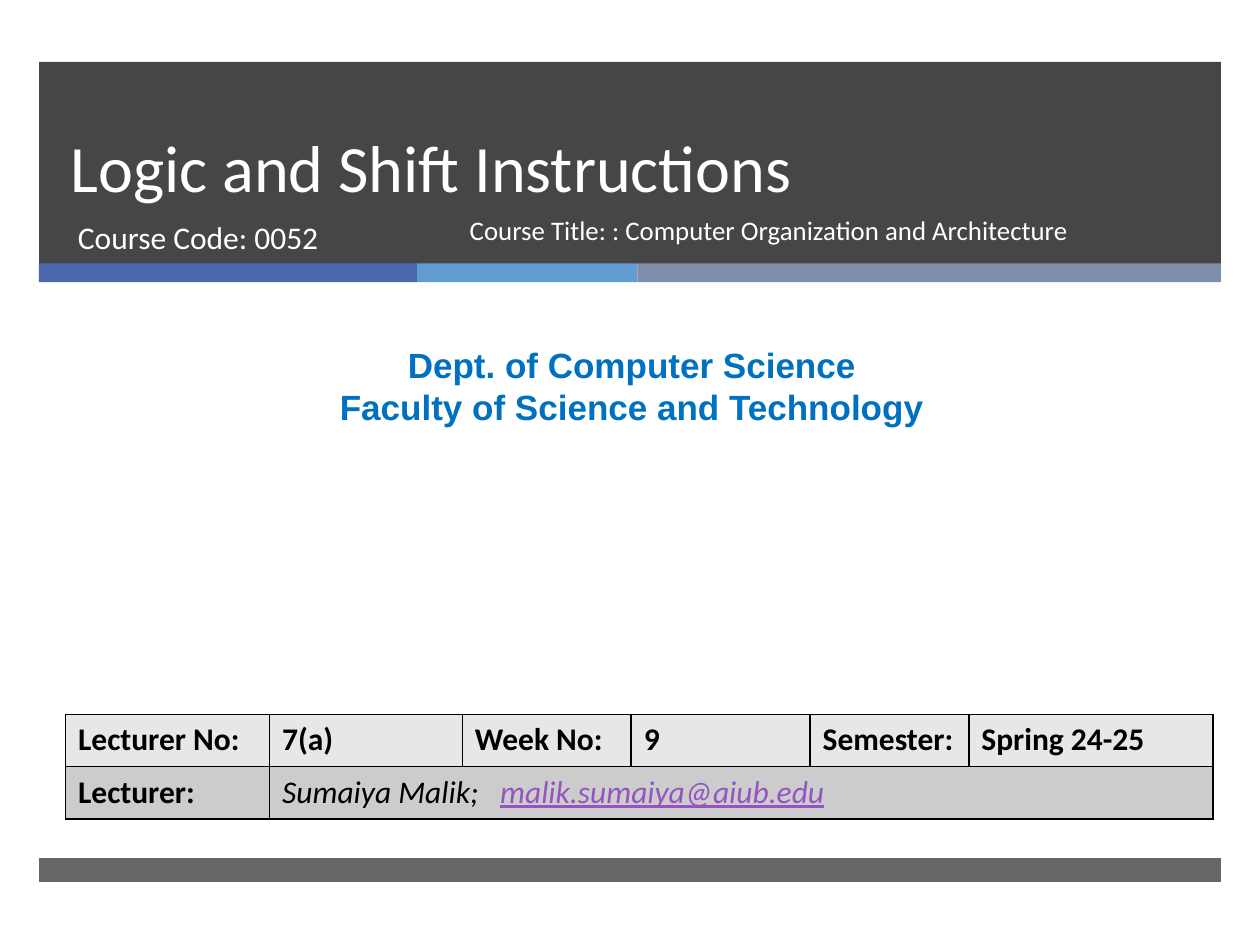
import dataclasses

import pptx
import pptx.dml.color
import pptx.enum.shapes
import pptx.enum.text
import pptx.oxml
import pptx.oxml.ns
import pptx.util

Inches = pptx.util.Inches
Pt = pptx.util.Pt
ALIGN = pptx.enum.text.PP_ALIGN
ANCHOR = pptx.enum.text.MSO_ANCHOR
NS = pptx.oxml.ns.nsdecls("a")


@dataclasses.dataclass(frozen=True)
class Theme:
    dark: str = "262626"
    white: str = "FFFFFF"
    black: str = "000000"
    department: str = "0070C0"
    email: str = "9454C3"
    stripes: tuple = ("4A66AC", "629DD1", "7F8FA9")
    rows: tuple = ("E7E7E7", "CCCCCC")
    body_font: str = "Calibri"
    department_font: str = "Arial"
    title_size: float = 37.8
    department_size: float = 20
    body_size: float = 18
    course_size: float = 15.3


THEME = Theme()


def rgb(colour):
    return pptx.dml.color.RGBColor.from_string(colour)


def style_run(run, size, colour, font=THEME.body_font, bold=False, italic=False):
    run.font.size = Pt(size)
    run.font.name = font
    run.font.color.rgb = rgb(colour)
    run.font.bold = bold
    run.font.italic = italic


def add_bar(slide, left, top, width, height, colour, opacity=100):
    bar = slide.shapes.add_shape(
        pptx.enum.shapes.MSO_SHAPE.RECTANGLE,
        Inches(left), Inches(top), Inches(width), Inches(height))
    bar.shadow.inherit = False
    bar.fill.solid()
    bar.fill.fore_color.rgb = rgb(colour)
    bar.line.fill.background()
    if opacity < 100:
        tint = bar.element.spPr.find(".//" + pptx.oxml.ns.qn("a:srgbClr"))
        tint.append(pptx.oxml.parse_xml(f'<a:alpha {NS} val="{opacity * 1000}"/>'))


def add_label(slide, left, top, width, height, text, size, colour,
              font=THEME.body_font, bold=False, align=ALIGN.LEFT):
    label = slide.shapes.add_textbox(
        Inches(left), Inches(top), Inches(width), Inches(height))
    label.text_frame.word_wrap = True
    label.text_frame.text = text
    for paragraph in label.text_frame.paragraphs:
        paragraph.alignment = align
        for run in paragraph.runs:
            style_run(run, size, colour, font, bold)
    return label


def add_header(slide, left, top, width, height):
    add_bar(slide, left, top, width, height, THEME.dark, 85)

    title = slide.shapes.title
    title.left, title.top = Inches(left + 0.15), Inches(top)
    title.width, title.height = Inches(8.54), Inches(1.19)
    slide.shapes.element.append(title.element)
    frame = title.text_frame
    frame.text = "Logic and Shift Instructions"
    frame.word_wrap = True
    frame.auto_size = pptx.enum.text.MSO_AUTO_SIZE.NONE
    frame.vertical_anchor = ANCHOR.BOTTOM
    heading = frame.paragraphs[0]
    heading.alignment = ALIGN.LEFT
    heading.line_spacing = Pt(46)
    style_run(heading.runs[0], THEME.title_size, THEME.white)

    course_top = top + 1.19
    add_label(slide, left + 0.21, course_top, 3.05, 0.53,
              "Course Code: 0052", THEME.body_size, THEME.white)
    course_title = add_label(
        slide, left + 3.32, course_top, 5.37, 0.53,
        "Course Title: : Computer Organization and Architecture",
        THEME.course_size, THEME.white)
    course_title.text_frame.paragraphs[0].line_spacing = 0.9


def add_stripes(slide, left, top, height):
    for width, colour in zip((3, 1.75, 4.63), THEME.stripes):
        add_bar(slide, left, top, width, height, colour)
        left += width


def add_department(slide, left, top, width, height):
    add_label(slide, left, top, width, height,
              "Dept. of Computer Science\nFaculty of Science and Technology",
              THEME.department_size, THEME.department,
              THEME.department_font, True, ALIGN.CENTER)


def style_cell(cell, fill):
    properties = cell._tc.get_or_add_tcPr()
    for side in ("lnL", "lnR", "lnT", "lnB"):
        properties.append(pptx.oxml.parse_xml(
            f'<a:{side} {NS} w="12700"><a:solidFill>'
            f'<a:srgbClr val="{THEME.black}"/></a:solidFill></a:{side}>'))
    cell.fill.solid()
    cell.fill.fore_color.rgb = rgb(fill)


def fill_lecturer(cell):
    paragraph = cell.text_frame.paragraphs[0]
    paragraph._p.get_or_add_pPr().append(pptx.oxml.parse_xml(
        f'<a:tabLst {NS}><a:tab pos="{Inches(1.73)}" algn="l"/></a:tabLst>'))
    name = paragraph.add_run()
    name.text = "Sumaiya Malik;\t"
    style_run(name, THEME.body_size, THEME.black, italic=True)
    email = paragraph.add_run()
    email.text = "malik.sumaiya@aiub.edu"
    style_run(email, THEME.body_size, THEME.email, italic=True)
    email.font.underline = True


def add_lecture_table(slide, left, top, width, height):
    details = (
        ("Lecturer No:", "7(a)", "Week No:", "9", "Semester:", "Spring 24-25"),
        ("Lecturer:",),
    )
    column_widths = (1.62, 1.53, 1.34, 1.42, 1.26, 1.94)
    table = slide.shapes.add_table(
        len(details), len(column_widths),
        Inches(left), Inches(top), Inches(width), Inches(height)).table
    table.first_row = False
    table.horz_banding = False
    for column, column_width in zip(table.columns, column_widths):
        column.width = Inches(column_width)
    for row, texts, fill in zip(table.rows, details, THEME.rows):
        for cell in row.cells:
            style_cell(cell, fill)
        for cell, text in zip(row.cells, texts):
            cell.text = text
            style_run(cell.text_frame.paragraphs[0].runs[0],
                      THEME.body_size, THEME.black, bold=True)
    lecturer = table.cell(1, 1)
    lecturer.merge(table.cell(1, 5))
    fill_lecturer(lecturer)


def main():
    deck = pptx.Presentation()
    deck.slide_width, deck.slide_height = Inches(10), Inches(7.5)
    slide = deck.slides.add_slide(deck.slide_layouts.get_by_name("Title Only"))
    add_header(slide, 0.31, 0.49, 9.38, 1.61)
    add_stripes(slide, 0.31, 2.09, 0.15)
    add_department(slide, 0.08, 2.68, 9.87, 0.77)
    add_lecture_table(slide, 0.52, 5.67, 9.12, 0.83)
    add_bar(slide, 0.31, 6.81, 9.38, 0.19, THEME.dark, 70)
    deck.save("out.pptx")


if __name__ == "__main__":
    main()
